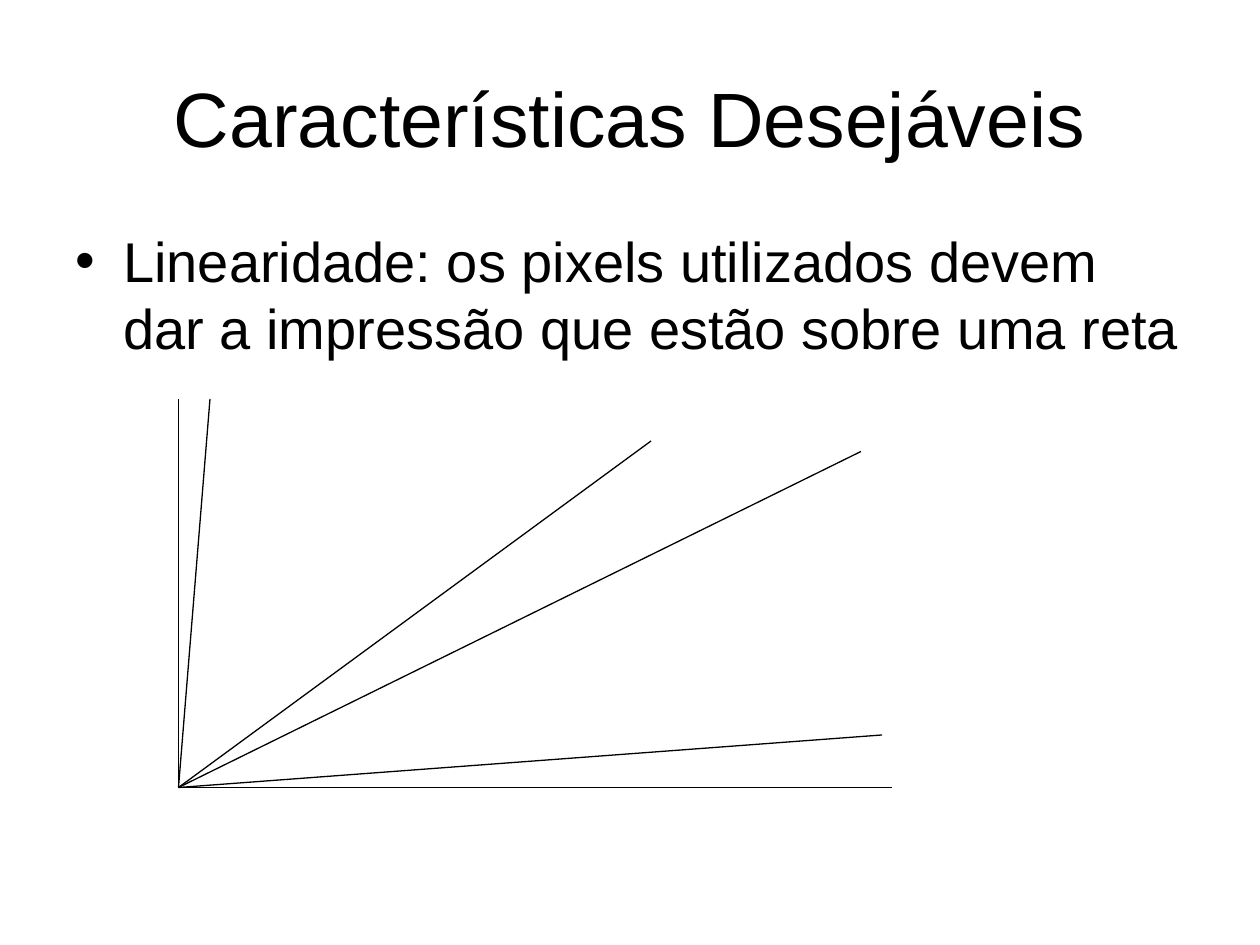
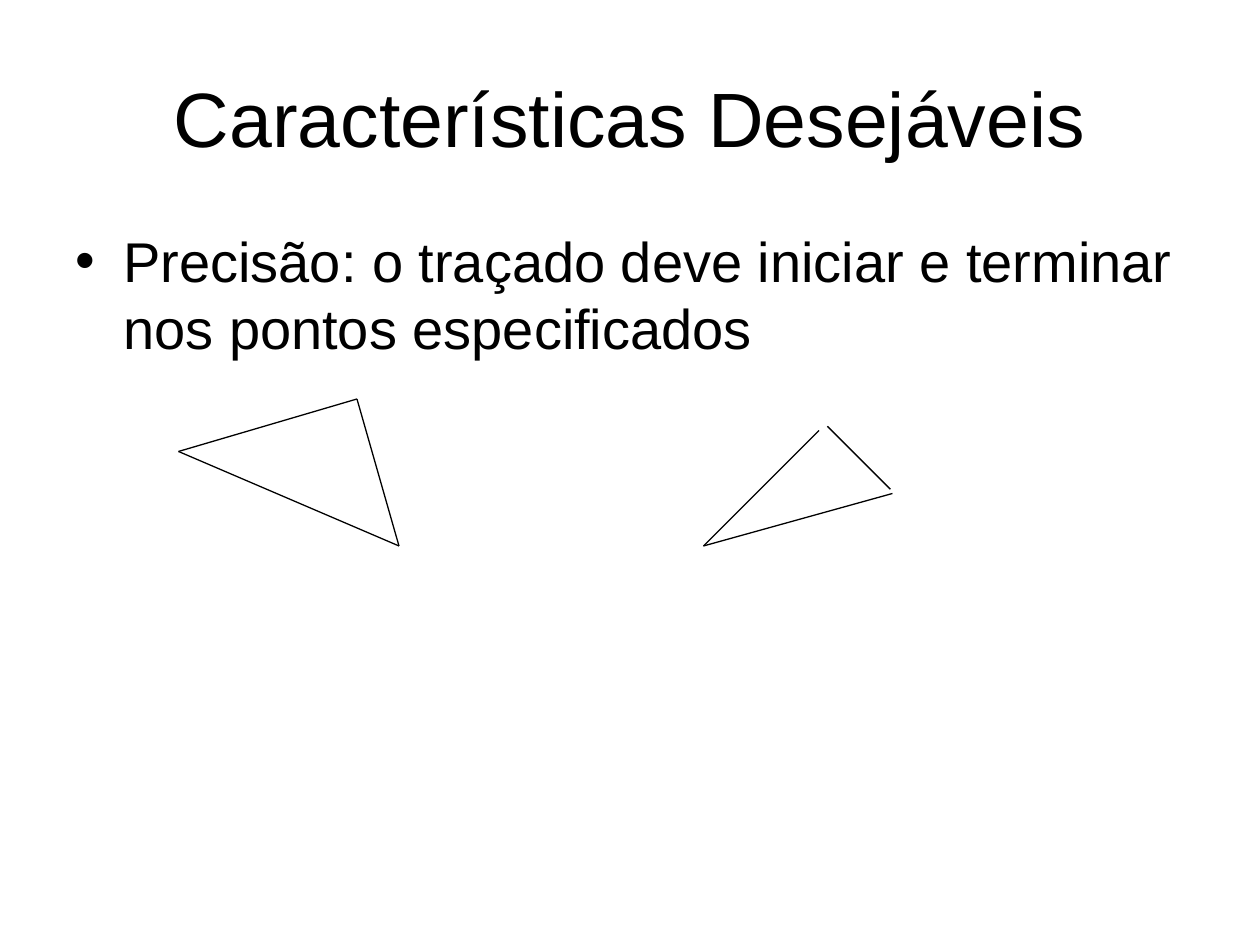
from lxml import etree
from pptx import Presentation, util as u
from pptx.dml.color import RGBColor
from pptx.enum import shapes, text
from pptx.oxml.ns import qn

FONT = "Arial"
INK = "000000"
TITLE = "Características Desejáveis"
CELL = u.Inches(1) / 12  # figures are drawn on a grid of twelve cells to the inch

# Boxes as shares of the slide: left, top, width, height
TITLE_BOX = (0.05, 0.04, 0.9, 1 / 6)
BODY_BOX = (0.05, 0.7 / 3, 0.9, 0.66)

# Top left corner of each figure, in grid columns and rows of the slide
FAN_CORNER = (17, 38)
CLOSED_CORNER = (17, 38)
OPEN_CORNER = (67, 40)

# Points as columns and rows from the figure's corner
FAN_ORIGIN = (0, 37)
FAN_TIPS = [(0, 0), (68, 37), (65, 5), (67, 32), (3, 0), (45, 4)]
FAN = [(FAN_ORIGIN, tip) for tip in FAN_TIPS]

TRIANGLE = [(0, 5), (17, 0), (21, 14)]
CLOSED_TRIANGLE = list(zip(TRIANGLE, TRIANGLE[1:] + TRIANGLE[:1]))
OPEN_TRIANGLE = [
    ((0, 12), (11, 1)),
    ((0, 12), (18, 7)),
    ((17.8, 6.6), (11.8, 0.6)),
]

SLIDES = [
    ("Linearidade: os pixels utilizados devem dar a impressão que estão sobre uma reta",
     [(FAN_CORNER, FAN)]),
    ("Precisão: o traçado deve iniciar e terminar nos pontos especificados",
     [(CLOSED_CORNER, CLOSED_TRIANGLE), (OPEN_CORNER, OPEN_TRIANGLE)]),
]


def colour(code):
    return RGBColor.from_string(code)


def place(deck, box):
    """Turn shares of the slide into left, top, width and height."""
    sizes = (deck.slide_width, deck.slide_height) * 2
    return [round(share * size) for share, size in zip(box, sizes)]


def set_frame(frame, anchor):
    frame.word_wrap = True
    frame.auto_size = text.MSO_AUTO_SIZE.NONE
    frame.vertical_anchor = anchor
    frame.margin_left = frame.margin_right = u.Inches(0.1)
    frame.margin_top = frame.margin_bottom = u.Inches(0.05)


def add_span(para, words, size):
    span = para.add_run()
    span.text = words
    span.font.name = FONT
    span.font.size = u.Pt(size)
    span.font.color.rgb = colour(INK)


def add_bullet(para, indent):
    properties = para._p.get_or_add_pPr()
    properties.set("marL", str(indent))
    properties.set("indent", str(-indent))
    etree.SubElement(properties, qn("a:buFont")).set("typeface", FONT)
    etree.SubElement(properties, qn("a:buChar")).set("char", "•")


def add_title(deck, page):
    title = page.shapes.title
    title.left, title.top, title.width, title.height = place(deck, TITLE_BOX)
    set_frame(title.text_frame, text.MSO_ANCHOR.MIDDLE)
    para = title.text_frame.paragraphs[0]
    para.alignment = text.PP_ALIGN.CENTER
    add_span(para, TITLE, 44)


def add_body(deck, page, words):
    frame = page.shapes.add_textbox(*place(deck, BODY_BOX)).text_frame
    set_frame(frame, text.MSO_ANCHOR.TOP)
    para = frame.paragraphs[0]
    para.alignment = text.PP_ALIGN.LEFT
    para.space_before = u.Pt(8)
    add_bullet(para, u.Inches(0.38))
    add_span(para, words, 32)


def add_figure(page, corner, segments):
    """Draw segments whose ends are counted in cells from the corner."""
    for segment in segments:
        ends = [round((start + step) * CELL)
                for point in segment for start, step in zip(corner, point)]
        line = page.shapes.add_connector(shapes.MSO_CONNECTOR.STRAIGHT, *ends)
        line.line.color.rgb = colour(INK)
        line.line.width = u.Pt(0.75)
        etree.SubElement(line._element.spPr, qn("a:effectLst"))


def add_page(deck, words, figures):
    page = deck.slides.add_slide(deck.slide_layouts.get_by_name("Title Only"))
    add_title(deck, page)
    add_body(deck, page, words)
    for corner, segments in figures:
        add_figure(page, corner, segments)


def main():
    deck = Presentation()
    deck.slide_width, deck.slide_height = u.Inches(10), u.Inches(7.5)
    for words, figures in SLIDES:
        add_page(deck, words, figures)
    deck.save("out.pptx")


if __name__ == "__main__":
    main()
